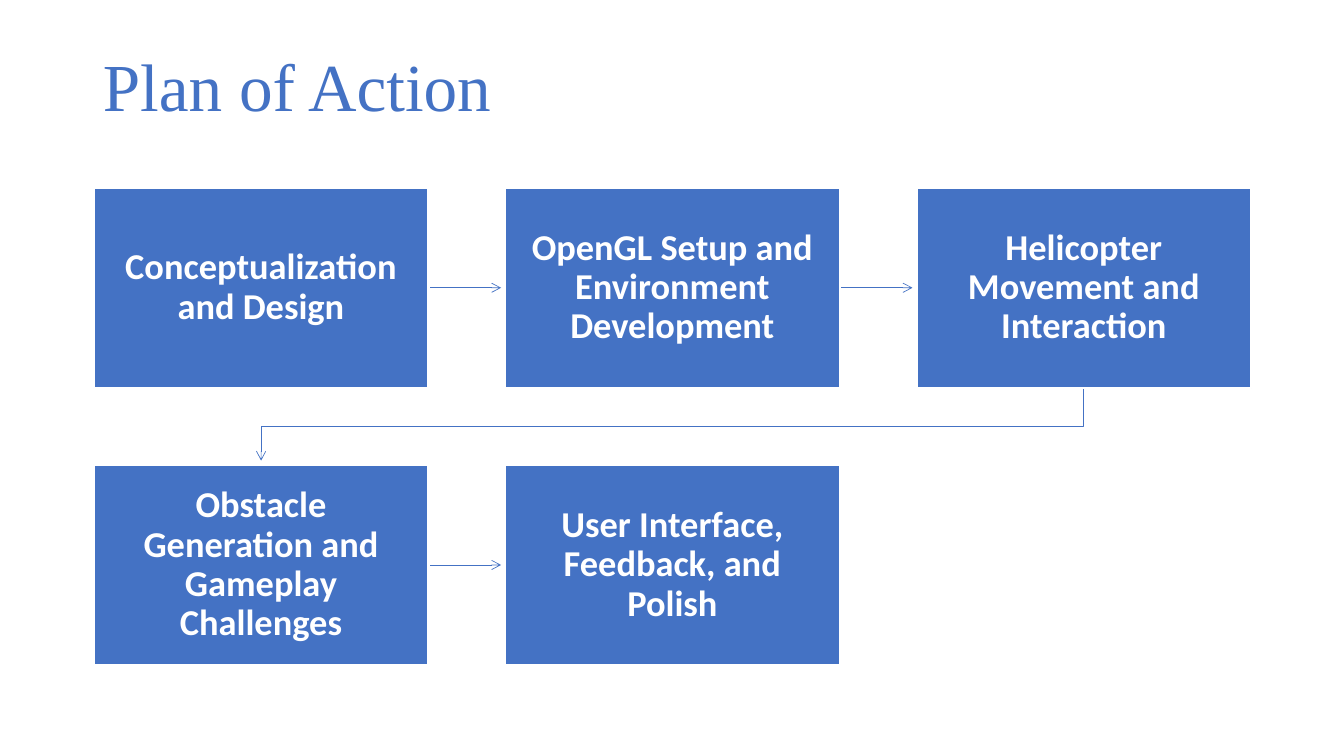
from dataclasses import dataclass

from lxml import etree
from pptx import Presentation
from pptx.dml.color import RGBColor
from pptx.enum.shapes import MSO_CONNECTOR, MSO_SHAPE
from pptx.enum.text import MSO_ANCHOR, MSO_AUTO_SIZE, PP_ALIGN
from pptx.oxml.ns import qn
from pptx.util import Inches, Pt

BLUE = RGBColor(0x44, 0x72, 0xC4)
WHITE = RGBColor(0xFF, 0xFF, 0xFF)

# Grid of steps, in inches
LEFT, TOP = 0.93, 1.86
BOX_W, BOX_H = 3.32, 1.99
STEP_X, STEP_Y = 4.08, 2.75
ARROW_GAP = 0.04
COLUMNS = 3


@dataclass
class Step:
    text: str
    col: int
    row: int

    @property
    def x(self) -> float:
        return LEFT + self.col * STEP_X

    @property
    def y(self) -> float:
        return TOP + self.row * STEP_Y

    @property
    def mid_x(self) -> float:
        return self.x + BOX_W / 2

    @property
    def mid_y(self) -> float:
        return self.y + BOX_H / 2


LABELS = [
    "Conceptualization and Design",
    "OpenGL Setup and Environment Development",
    "Helicopter Movement and Interaction",
    "Obstacle Generation and Gameplay Challenges",
    "User Interface, Feedback, and Polish",
]
STEPS = [Step(text, i % COLUMNS, i // COLUMNS) for i, text in enumerate(LABELS)]


def format_text(tf, size: int, font: str, color: RGBColor, bold: bool, align: PP_ALIGN) -> None:
    tf.word_wrap = True
    tf.auto_size = MSO_AUTO_SIZE.NONE
    tf.vertical_anchor = MSO_ANCHOR.MIDDLE
    p = tf.paragraphs[0]
    p.alignment = align
    p.line_spacing = 0.9
    f = p.runs[0].font
    f.size, f.name, f.bold = Pt(size), font, bold
    f.color.rgb = color


def add_title(s, text: str) -> None:
    title = s.shapes.title
    title.left, title.top = Inches(0.92), Inches(0.44)
    title.width, title.height = Inches(11.5), Inches(0.9)
    title.text_frame.text = text
    format_text(title.text_frame, 48, "Times New Roman", BLUE, False, PP_ALIGN.LEFT)


def add_step(s, step: Step) -> None:
    box = s.shapes.add_shape(MSO_SHAPE.RECTANGLE, Inches(step.x), Inches(step.y),
                             Inches(BOX_W), Inches(BOX_H))
    box.shadow.inherit = False
    box.fill.solid()
    box.fill.fore_color.rgb = BLUE
    box.line.color.rgb = WHITE
    box.line.width = Pt(1.5)
    tf = box.text_frame
    tf.text = step.text
    tf.margin_left = tf.margin_right = tf.margin_top = tf.margin_bottom = Inches(0.2)
    format_text(tf, 26, "Calibri", WHITE, True, PP_ALIGN.CENTER)


def style_arrow(shape) -> None:
    shape.line.color.rgb = BLUE
    shape.line.width = Pt(0.5)
    spPr = shape.element.spPr
    etree.SubElement(spPr.find(qn("a:ln")), qn("a:tailEnd"), type="arrow")
    etree.SubElement(spPr, qn("a:effectLst"))


def add_arrow(s, a: Step, b: Step) -> None:
    if a.row == b.row:
        arrow = s.shapes.add_connector(
            MSO_CONNECTOR.STRAIGHT, Inches(a.x + BOX_W), Inches(a.mid_y),
            Inches(b.x - ARROW_GAP), Inches(b.mid_y))
    else:
        # Down from the end of one row and back to the start of the next
        bottom = a.y + BOX_H
        turn = (bottom + b.y) / 2
        bends = [(a.mid_x, turn), (b.mid_x, turn), (b.mid_x, b.y - ARROW_GAP)]
        builder = s.shapes.build_freeform(Inches(a.mid_x), Inches(bottom))
        builder.add_line_segments([(Inches(x), Inches(y)) for x, y in bends], close=False)
        arrow = builder.convert_to_shape()
        arrow.fill.background()
    style_arrow(arrow)


def main() -> None:
    prs = Presentation()
    prs.slide_width, prs.slide_height = Inches(13.33), Inches(7.5)
    s = prs.slides.add_slide(prs.slide_layouts[5])
    add_title(s, "Plan of Action")

    # Arrows lie behind the boxes
    for a, b in zip(STEPS, STEPS[1:]):
        add_arrow(s, a, b)
    for step in STEPS:
        add_step(s, step)
    prs.save("out.pptx")


if __name__ == "__main__":
    main()
